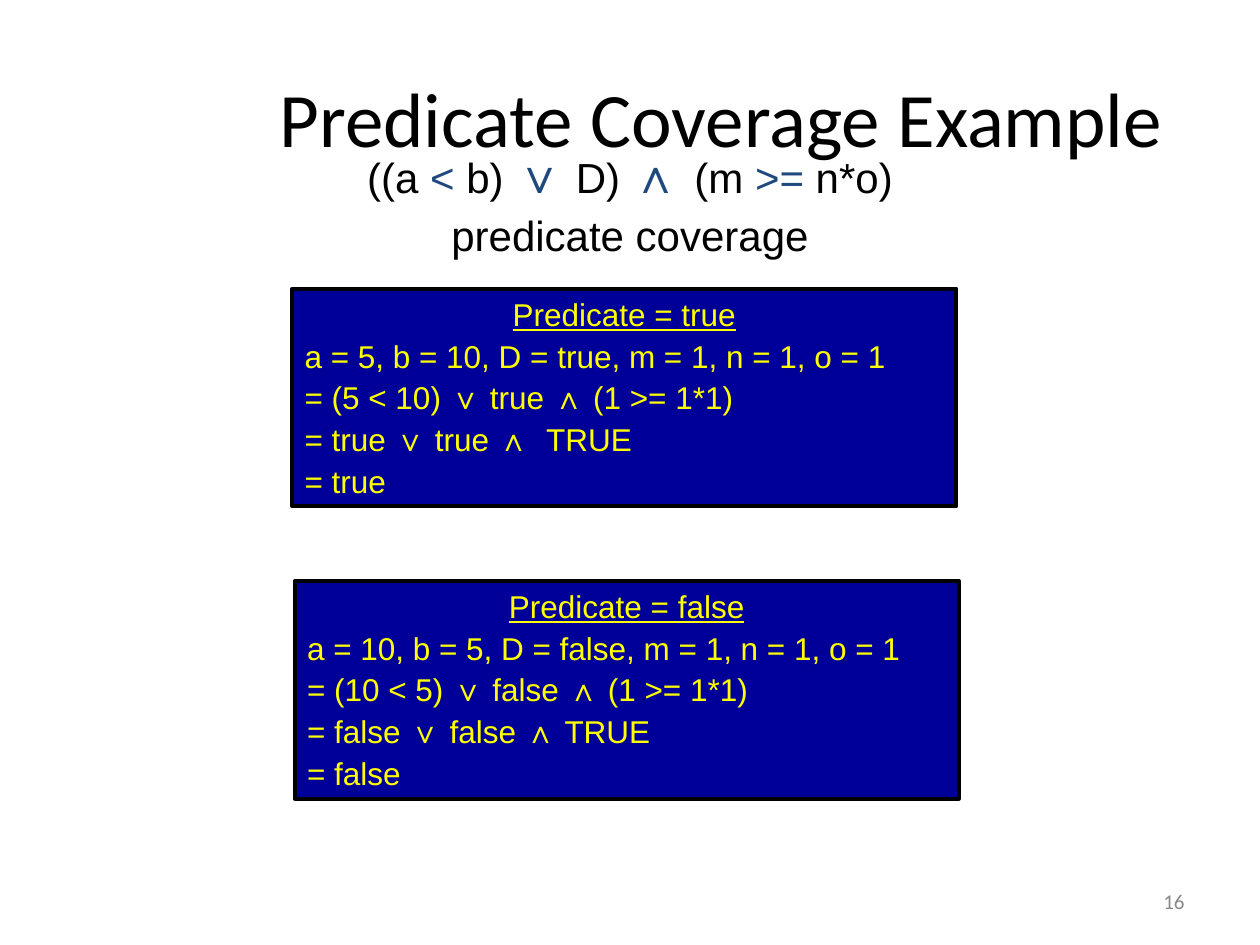
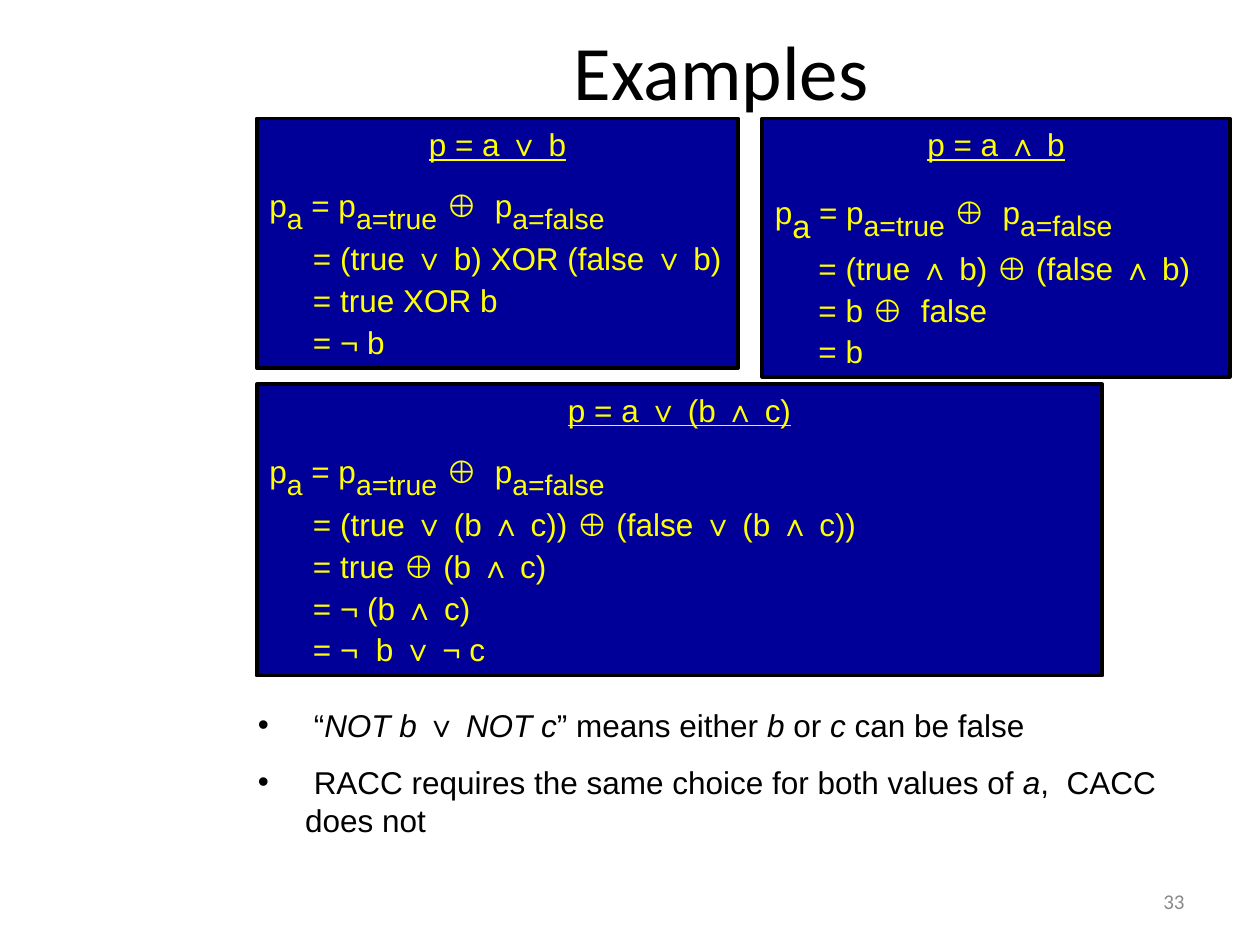
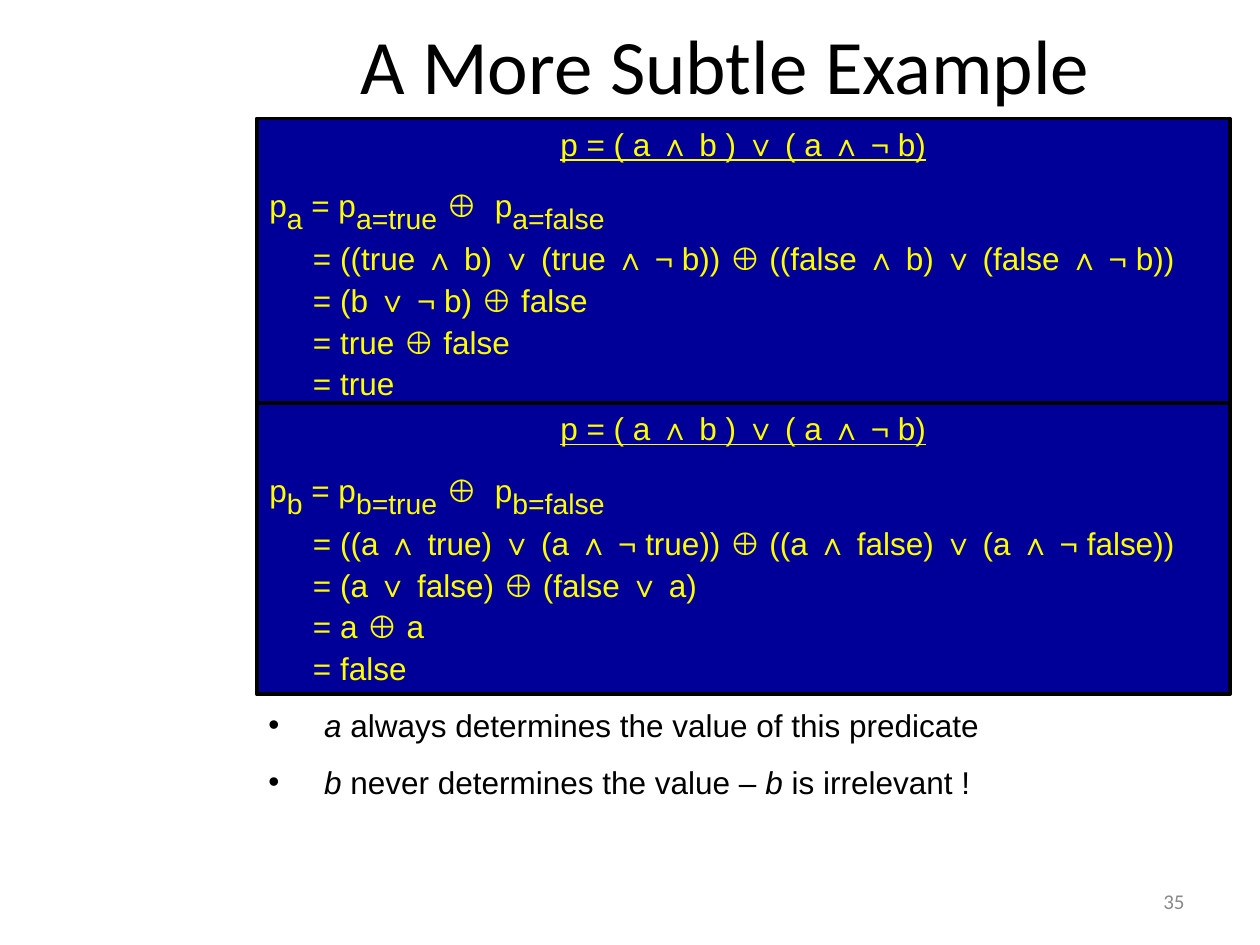
from lxml.etree import SubElement
from pptx import Presentation
from pptx.dml.color import RGBColor
from pptx.enum.shapes import MSO_SHAPE as Shape
from pptx.enum.text import MSO_ANCHOR as Anchor, MSO_AUTO_SIZE as AutoSize, PP_ALIGN as Align
from pptx.oxml.ns import qn
from pptx.util import Cm, Pt

BLACK = RGBColor(0x00, 0x00, 0x00)
NAVY = RGBColor(0x00, 0x00, 0x99)
YELLOW = RGBColor(0xFF, 0xFF, 0x00)
BLUE = RGBColor(0x1F, 0x49, 0x7D)
GREY = RGBColor(0x89, 0x89, 0x89)

HEADING_FONT, BODY_FONT = "Calibri", "Arial"
STEP_INDENT = Cm(0.88)
BULLET_INDENT = Cm(0.95)
LEFT = 5.18  # shared left edge of the derivation boxes, in cm
TOP = 2.39


def as_operator(run):
    run.font.color.rgb = BLUE
    if run.text.strip() in ("∨", "∧"):
        run.font.size = Pt(28)


def as_italic(run):
    run.font.italic = True


def as_subscript(run):
    run.font.size = Pt(28)
    run._r.get_or_add_rPr().set("baseline", "-25000")


class Deck:
    """Holds the shared style and the slide being filled; places are in cm."""

    def __init__(self):
        self.prs = Presentation()
        self.prs.slide_width, self.prs.slide_height = Cm(25.4), Cm(19.05)
        self.slide = None

    def new_slide(self, title, number, place):
        self.slide = self.prs.slides.add_slide(self.prs.slide_layouts[6])
        number_frame = self.frame((18.21, 17.65, 5.92, 1.02), Anchor.MIDDLE)
        self.add_line(number_frame, str(number), 12, GREY, HEADING_FONT, Align.RIGHT)
        title_frame = self.frame(place, Anchor.MIDDLE)
        self.add_line(title_frame, title, 44, BLACK, HEADING_FONT, Align.CENTER)

    def frame(self, place, anchor=Anchor.TOP):
        frame = self.slide.shapes.add_textbox(*map(Cm, place)).text_frame
        frame.word_wrap = True
        frame.vertical_anchor = anchor
        return frame

    def add_line(self, frame, text, size, color, font=BODY_FONT, align=Align.LEFT,
                 before=0, mark=None, bullet=False):
        """Add a paragraph; every second piece between bars is passed to mark."""
        paragraph = frame.paragraphs[0]
        if paragraph.runs:
            paragraph = frame.add_paragraph()
            paragraph.space_before = Pt(before)
        paragraph.alignment = align
        if bullet:
            props = paragraph._p.get_or_add_pPr()
            props.set("marL", str(BULLET_INDENT))
            props.set("indent", str(-BULLET_INDENT))
            SubElement(props, qn("a:buFont"), typeface=BODY_FONT)
            SubElement(props, qn("a:buChar"), char="•")
        paragraph.font.size = Pt(size)
        paragraph.font.name = font
        paragraph.font.color.rgb = color
        for index, piece in enumerate(text.split("|")):
            if piece:
                run = paragraph.add_run()
                run.text = piece
                if index % 2:
                    mark(run)
        return paragraph

    def formula(self, place, *lines):
        frame = self.frame(place)
        for line in lines:
            paragraph = self.add_line(frame, line, 24, BLACK, align=Align.CENTER,
                                      before=9, mark=as_operator)
            paragraph.line_spacing = 0.8

    def bullets(self, place, *lines):
        frame = self.frame(place)
        for line in lines:
            self.add_line(frame, line, 18, BLACK, before=11.2, mark=as_italic, bullet=True)

    def box(self, place, heading):
        panel = self.slide.shapes.add_shape(Shape.RECTANGLE, *map(Cm, place))
        panel.shadow.inherit = False
        panel.fill.solid()
        panel.fill.fore_color.rgb = NAVY
        panel.line.color.rgb = BLACK
        panel.line.width = Pt(2.25)
        frame = panel.text_frame
        frame.word_wrap = True
        frame.vertical_anchor = Anchor.TOP
        frame.auto_size = AutoSize.SHAPE_TO_FIT_TEXT
        self.add_line(frame, heading, 18, YELLOW, align=Align.CENTER).font.underline = True
        return frame

    def evaluation(self, place, heading, *steps):
        frame = self.box(place, heading)
        for step in steps:
            self.add_line(frame, step, 18, YELLOW, before=2.2)

    def derivation(self, place, heading, clause, *steps, clause_size=28):
        """Box that works out when the clause determines the predicate."""
        frame = self.box(place, heading)
        definition = self.add_line(
            frame, f"p|{clause}| = p|{clause}=true| ⊕  p|{clause}=false|",
            18, YELLOW, before=3.5, mark=as_subscript)
        definition.runs[1].font.size = Pt(clause_size)
        for step in steps:
            paragraph = self.add_line(frame, step, 18, YELLOW, before=2.2)
            paragraph._p.get_or_add_pPr().set("marL", str(STEP_INDENT))


def predicate_coverage(deck):
    deck.new_slide("Predicate Coverage Example", 16, (4.95, 0.76, 19.18, 3.18))
    deck.formula((0.38, 3.02, 24.64, 2.51),
                 "((a |<| b) |∨| D) |∧ |(m |>=| n*o)", "predicate coverage")
    deck.evaluation((5.89, 5.82, 13.39, 4.39), "Predicate = true",
                    "a = 5, b = 10, D = true, m = 1, n = 1, o = 1",
                    "= (5 < 10) ∨ true ∧ (1 >= 1*1)",
                    "= true ∨ true ∧  TRUE",
                    "= true")
    deck.evaluation((5.94, 11.71, 13.39, 4.39), "Predicate = false",
                    "a = 10, b = 5, D = false, m = 1, n = 1, o = 1",
                    "= (10 < 5) ∨ false ∧ (1 >= 1*1)",
                    "= false ∨ false ∧ TRUE",
                    "= false")


def examples(deck):
    deck.new_slide("Examples", 33, (4.95, 0.41, 19.18, 1.98))
    deck.derivation((LEFT, TOP, 9.7, 5.03), "p = a ∨ b", "a",
                    "= (true ∨ b) XOR (false ∨ b)",
                    "= true XOR b",
                    "= ¬ b")
    deck.derivation((15.37, TOP, 9.42, 5.21), "p = a ∧ b", "a",
                    "= (true ∧ b) ⊕ (false ∧ b)",
                    "= b ⊕  false",
                    "= b", clause_size=32)
    deck.derivation((LEFT, 7.75, 17.04, 5.87), "p = a ∨ (b ∧ c)", "a",
                    "= (true ∨ (b ∧ c)) ⊕ (false ∨ (b ∧ c))",
                    "= true ⊕ (b ∧ c)",
                    "= ¬ (b ∧ c)",
                    "= ¬  b ∨ ¬ c")
    deck.bullets((4.95, 14.1, 18.8, 2.95),
                 " “|NOT b |∨ |NOT c|” means either |b| or |c| can be false",
                 " RACC requires the same choice for both values of |a|,  CACC does not")


def subtle_example(deck):
    predicate = "p = ( a ∧ b ) ∨ ( a ∧ ¬ b)"
    deck.new_slide("A More Subtle Example", 35, (5.03, 0.2, 19.18, 2.18))
    deck.derivation((LEFT, TOP, 19.61, 5.87), predicate, "a",
                    "= ((true ∧ b) ∨ (true ∧ ¬ b)) ⊕ ((false ∧ b) ∨ (false ∧ ¬ b))",
                    "= (b ∨ ¬ b) ⊕ false",
                    "= true ⊕ false",
                    "= true")
    deck.bullets((5.16, 14.1, 18.19, 2.18),
                 " |a| always determines the value of this predicate",
                 " |b| never determines the value – |b| is irrelevant !")
    deck.derivation((LEFT, 8.13, 19.61, 5.87), predicate, "b",
                    "= ((a ∧ true) ∨ (a ∧ ¬ true)) ⊕ ((a ∧ false) ∨ (a ∧ ¬ false))",
                    "= (a ∨ false) ⊕ (false ∨ a)",
                    "= a ⊕ a",
                    "= false")


def main():
    deck = Deck()
    predicate_coverage(deck)
    examples(deck)
    subtle_example(deck)
    deck.prs.save("out.pptx")


if __name__ == "__main__":
    main()
